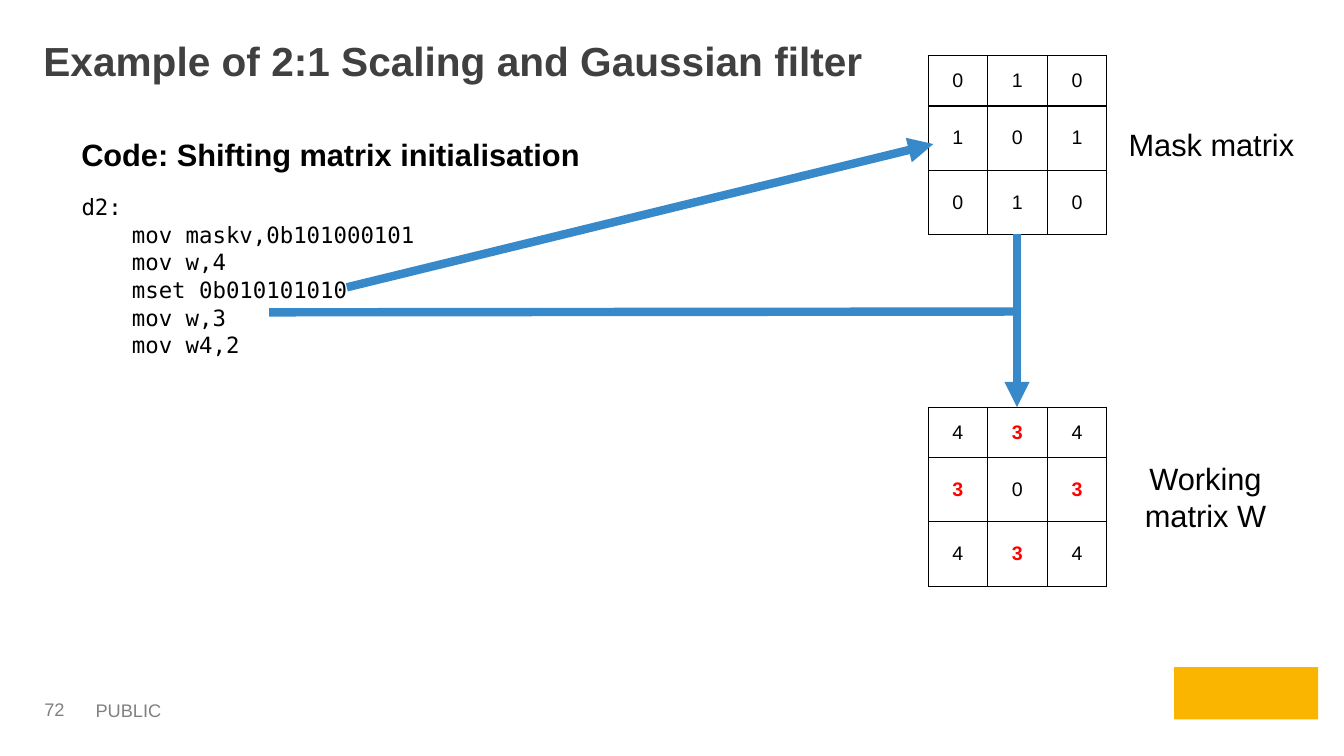
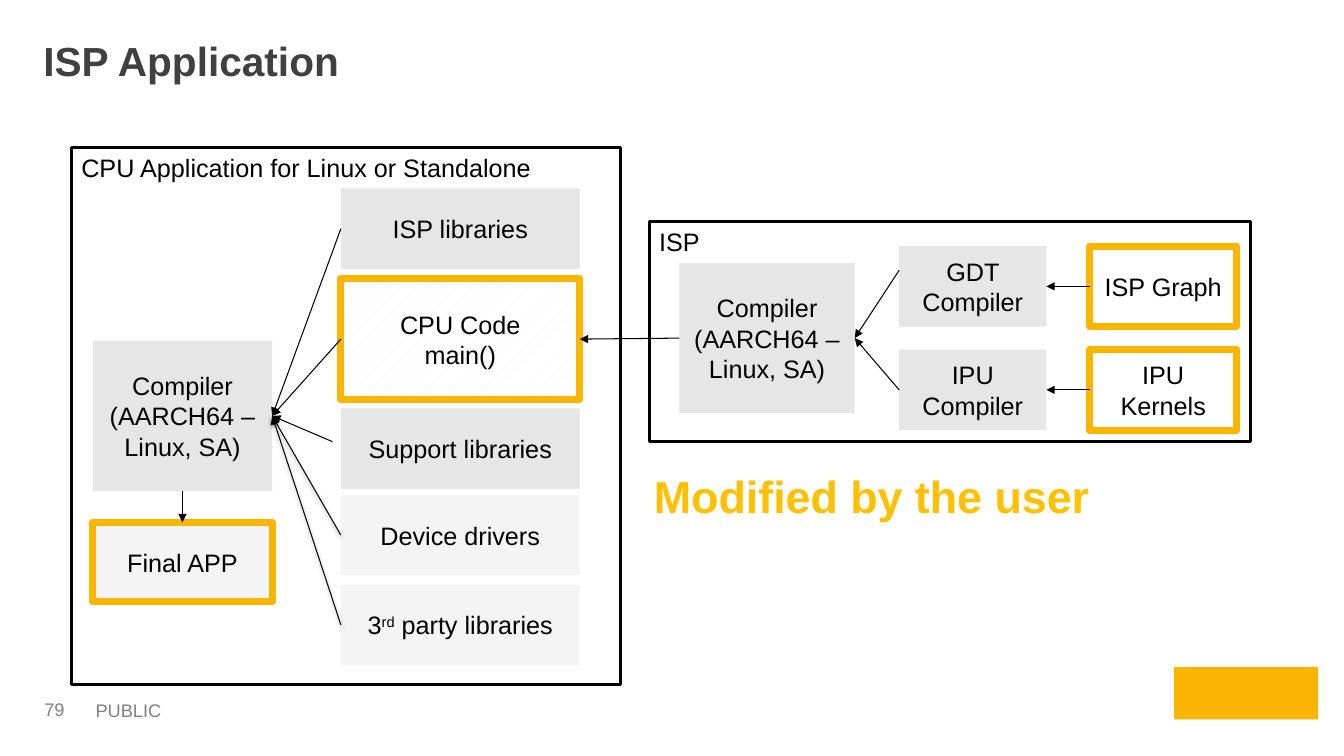
"""Build two slides: a matrix scaling example and an ISP application diagram."""
from dataclasses import dataclass, replace

from lxml import etree
from pptx import Presentation
from pptx import util as u
from pptx.dml import color
from pptx.enum import dml, shapes, text
from pptx.oxml import ns

COLORS = {
    "black": "000000", "title": "404040", "footer": "808080", "red": "FF0000",
    "blue": "3889C9", "amber": "F9B500", "gold": "FFC000", "grey": "E6E6E6",
    "pale": "F4F4F4", "white": "FFFFFF",
}
Point = tuple[float, float]
Line = tuple[str, ...]


@dataclass(frozen=True)
class Style:
    size: float
    color: str = "black"
    bold: bool = False
    font: str = "Arial"
    align: text.PP_ALIGN = text.PP_ALIGN.LEFT


@dataclass(frozen=True)
class Box:
    x: float
    y: float
    w: float
    h: float
    lines: tuple[Line, ...] = ()
    fill: str | None = None
    line: str | None = None
    weight: float = 5

    @property
    def rect(self) -> tuple[u.Cm, ...]:
        return tuple(u.Cm(v) for v in (self.x, self.y, self.w, self.h))

    @property
    def left(self) -> Point:
        return self.x, self.y + self.h / 2

    @property
    def right(self) -> Point:
        return self.x + self.w, self.y + self.h / 2

    @property
    def top(self) -> Point:
        return self.x + self.w / 2, self.y

    @property
    def bottom(self) -> Point:
        return self.x + self.w / 2, self.y + self.h


@dataclass(frozen=True)
class Arrow:
    start: Point
    end: Point
    color: str = "black"
    weight: float = 0.75
    head: bool = True
    shadow: bool = False


CENTER = text.PP_ALIGN.CENTER
TITLE = Style(29, "title", True)
FOOTER = Style(13, "footer")
LABEL = Style(22, align=CENTER)
HEADING = Style(22, bold=True)
CODE = Style(16, font="DejaVu Sans Mono")
CELL = Style(14, align=CENTER)
CELL_SET = replace(CELL, color="red", bold=True)
FRAME_TEXT = Style(18)
BOX_TEXT = Style(18, align=CENTER)


def rgb(name: str) -> color.RGBColor:
    return color.RGBColor.from_string(COLORS[name])


def child(parent, tag: str, **attrs: str):
    e = etree.SubElement(parent, ns.qn(tag))
    for key, value in attrs.items():
        e.set(key, value)
    return e


def write(tf, lines: tuple[Line, ...], style: Style,
          anchor: text.MSO_ANCHOR = text.MSO_ANCHOR.TOP) -> None:
    """Write paragraphs run by run; every second run is superscript."""
    tf.word_wrap = True
    tf.auto_size = text.MSO_AUTO_SIZE.NONE
    tf.vertical_anchor = anchor
    for i, line in enumerate(lines):
        p = tf.paragraphs[0] if i == 0 else tf.add_paragraph()
        p.alignment = style.align
        p.space_before = u.Pt(0)
        for j, piece in enumerate(line):
            r = p.add_run()
            r.text = piece
            r.font.name = style.font
            r.font.size = u.Pt(style.size)
            r.font.bold = style.bold
            r.font.color.rgb = rgb(style.color)
            if j % 2:
                r._r.get_or_add_rPr().set("baseline", "30000")


def add_text(s, area: Box, style: Style):
    sp = s.shapes.add_textbox(*area.rect)
    write(sp.text_frame, area.lines, style)
    return sp


def place(sp, area: Box) -> None:
    sp.left, sp.top, sp.width, sp.height = area.rect


def add_box(s, box: Box, style: Style = BOX_TEXT,
            anchor: text.MSO_ANCHOR = text.MSO_ANCHOR.MIDDLE):
    sp = s.shapes.add_shape(shapes.MSO_SHAPE.RECTANGLE, *box.rect)
    sp.shadow.inherit = False
    if box.fill:
        sp.fill.solid()
        sp.fill.fore_color.rgb = rgb(box.fill)
    else:
        sp.fill.background()
    if box.line:
        sp.line.color.rgb = rgb(box.line)
        sp.line.width = u.Pt(box.weight)
    else:
        sp.line.fill.background()
    write(sp.text_frame, box.lines, style, anchor)
    return sp


def add_arrow(s, arrow: Arrow) -> None:
    ends = [u.Cm(v) for v in (*arrow.start, *arrow.end)]
    cx = s.shapes.add_connector(shapes.MSO_CONNECTOR.STRAIGHT, *ends)
    cx.line.color.rgb = rgb(arrow.color)
    cx.line.width = u.Pt(arrow.weight)
    if arrow.head:
        child(cx.line._get_or_add_ln(), "a:tailEnd", type="triangle")
    effects = child(cx._element.spPr, "a:effectLst")
    if arrow.shadow:
        outer = child(effects, "a:outerShdw", blurRad=str(u.Pt(3.1)), dist=str(u.Pt(1.6)),
                      dir="5400000", rotWithShape="0")
        child(child(outer, "a:srgbClr", val=COLORS["black"]), "a:alpha", val="38000")


def add_matrix(s, x: float, y: float, rows: tuple[str, ...]) -> None:
    heights = (1.27, 1.62, 1.62)
    area = Box(x, y, 4.5, sum(heights))
    tb = s.shapes.add_table(len(rows), len(rows[0]), *area.rect).table
    tb.first_row = tb.horz_banding = False
    for col in tb.columns:
        col.width = u.Cm(1.5)
    for i, digits in enumerate(rows):
        tb.rows[i].height = u.Cm(heights[i])
        for j, digit in enumerate(digits):
            cell = tb.cell(i, j)
            tc_pr = cell._tc.get_or_add_tcPr()
            for side in ("a:lnL", "a:lnR", "a:lnT", "a:lnB"):
                ln = child(tc_pr, side, w=str(u.Pt(1)))
                child(child(ln, "a:solidFill"), "a:srgbClr", val=COLORS["black"])
            cell.fill.background()
            cell.vertical_anchor = text.MSO_ANCHOR.MIDDLE
            p = cell.text_frame.paragraphs[0]
            style = CELL_SET if digit == "3" else CELL
            p.alignment = style.align
            r = p.add_run()
            r.text = digit
            r.font.name = style.font
            r.font.size = u.Pt(style.size)
            r.font.bold = style.bold
            r.font.color.rgb = rgb(style.color)


def add_slide(prs, layout: int, title: str, number: str):
    s = prs.slides.add_slide(prs.slide_layouts[layout])
    place(s.shapes.title, Box(0.84, 0.79, 32.39, 1.83))
    write(s.shapes.title.text_frame, ((title,),), TITLE)
    add_text(s, Box(2.16, 17.5, 10.11, 0.86, (("PUBLIC",),)), FOOTER)
    tf = add_text(s, Box(0.94, 17.5, 1.65, 0.76, ((number,),)), FOOTER).text_frame
    tf.vertical_anchor = text.MSO_ANCHOR.MIDDLE
    tf.margin_left = tf.margin_right = u.Cm(0.18)
    tf.margin_top = tf.margin_bottom = u.Cm(0.1)
    add_box(s, Box(29.59, 16.81, 3.63, 1.32, fill="amber"))
    return s


def add_code(s, area: Box) -> None:
    sp = s.placeholders[1]
    place(sp, area)
    tf = sp.text_frame
    write(tf, area.lines, CODE)
    for i, p in enumerate(tf.paragraphs):
        p.level = min(i, 1)
        p.line_spacing = 1.03
        p_pr = p._p.get_or_add_pPr()
        p_pr.set("marL", str(u.Cm(1.27 * p.level)))
        p_pr.set("indent", "0")
        child(p_pr, "a:buNone")


def scaling_slide(prs) -> None:
    s = add_slide(prs, 1, "Example of 2:1 Scaling and Gaussian filter", "72")
    add_matrix(s, 23.39, 1.4, ("010", "101", "010"))
    add_matrix(s, 23.39, 10.26, ("434", "303", "434"))
    add_text(s, Box(28.04, 3.05, 4.98, 1.19, (("Mask matrix",),)), LABEL)
    add_text(s, Box(27.89, 11.46, 4.98, 2.11, (("Working matrix W",),)), LABEL)
    add_text(s, Box(1.8, 3.3, 20, 1.37, (("Code: Shifting matrix initialisation",),)), HEADING)
    code = ("d2:", "mov maskv,0b101000101", "mov w,4", "mset 0b010101010",
            "mov w,3", "mov w4,2")
    add_code(s, Box(1.8, 4.72, 16.28, 4.37, tuple((c,) for c in code)))
    for arrow in (
        Arrow((25.63, 5.89), (25.63, 10.26), "blue", 6),
        Arrow((6.78, 7.87), (25.68, 7.85), "blue", 6, head=False),
        Arrow((8.74, 7.24), (23.52, 3.63), "blue", 6),
    ):
        add_arrow(s, arrow)


def application_slide(prs) -> None:
    s = add_slide(prs, 5, "ISP Application", "79")
    compiler_text = (("Compiler (AARCH64 – Linux, SA)",),)
    frames = (
        Box(1.8, 3.71, 13.84, 13.54, (("CPU Application for Linux or Standalone",),),
            line="black", weight=2),
        Box(16.36, 5.59, 15.16, 5.54, (("ISP",),), line="black", weight=2),
    )
    main_code = Box(8.59, 7.01, 6.02, 3.07, (("CPU Code",), ("main()",)), "white", "amber")
    isp_libs, support, drivers, third_party = (
        Box(8.59, y, 6.02, 2.03, (line,), fill)
        for y, line, fill in (
            (4.75, ("ISP libraries",), "grey"),
            (10.29, ("Support libraries",), "grey"),
            (12.47, ("Device drivers",), "pale"),
            (14.73, ("3", "rd", " party libraries"), "pale"),
        )
    )
    compiler = Box(2.34, 8.59, 4.52, 3.78, compiler_text, "grey")
    final_app = Box(2.34, 13.16, 4.52, 2.01, (("Final APP",),), "pale", "amber")
    isp_compiler = Box(17.12, 6.63, 4.42, 3.78, compiler_text, "grey")
    rows = (6.2, 8.81)
    gdt, ipu = (Box(22.66, y, 3.71, 2.03, ((f"{name} Compiler",),), "grey")
                for y, name in zip(rows, ("GDT", "IPU")))
    graph, kernels = (Box(27.46, y, 3.71, 2.03, ((name,),), line="amber")
                      for y, name in zip(rows, ("ISP Graph", "IPU Kernels")))

    for frame in frames:
        add_box(s, frame, FRAME_TEXT, text.MSO_ANCHOR.TOP)
    for box in (isp_libs, support, drivers, third_party, compiler, final_app,
                isp_compiler, gdt, ipu, graph, kernels):
        add_box(s, box)
    fill = add_box(s, main_code).fill
    fill.patterned()
    fill.pattern = dml.MSO_PATTERN.PERCENT_5
    fill.fore_color.rgb = rgb("pale")
    fill.back_color.rgb = rgb("white")

    for arrow in (
        Arrow(isp_libs.left, compiler.right),
        Arrow(main_code.left, compiler.right),
        Arrow((8.38, 11.13), compiler.right),
        Arrow(drivers.left, compiler.right, shadow=True),
        Arrow(third_party.left, compiler.right, shadow=True),
        Arrow(compiler.bottom, final_app.top),
        Arrow(isp_compiler.left, main_code.right),
        Arrow((22.66, 6.81), isp_compiler.right),
        Arrow(ipu.left, isp_compiler.right),
        Arrow(graph.left, gdt.right),
        Arrow(kernels.left, ipu.right),
    ):
        add_arrow(s, arrow)
    add_text(s, Box(16.23, 11.68, 14.91, 3.53, (("Modified by the user",),)),
             Style(32, "gold", True))


def main() -> None:
    prs = Presentation()
    prs.slide_width, prs.slide_height = u.Cm(33.87), u.Cm(19.05)
    scaling_slide(prs)
    application_slide(prs)
    prs.save("out.pptx")


if __name__ == "__main__":
    main()
